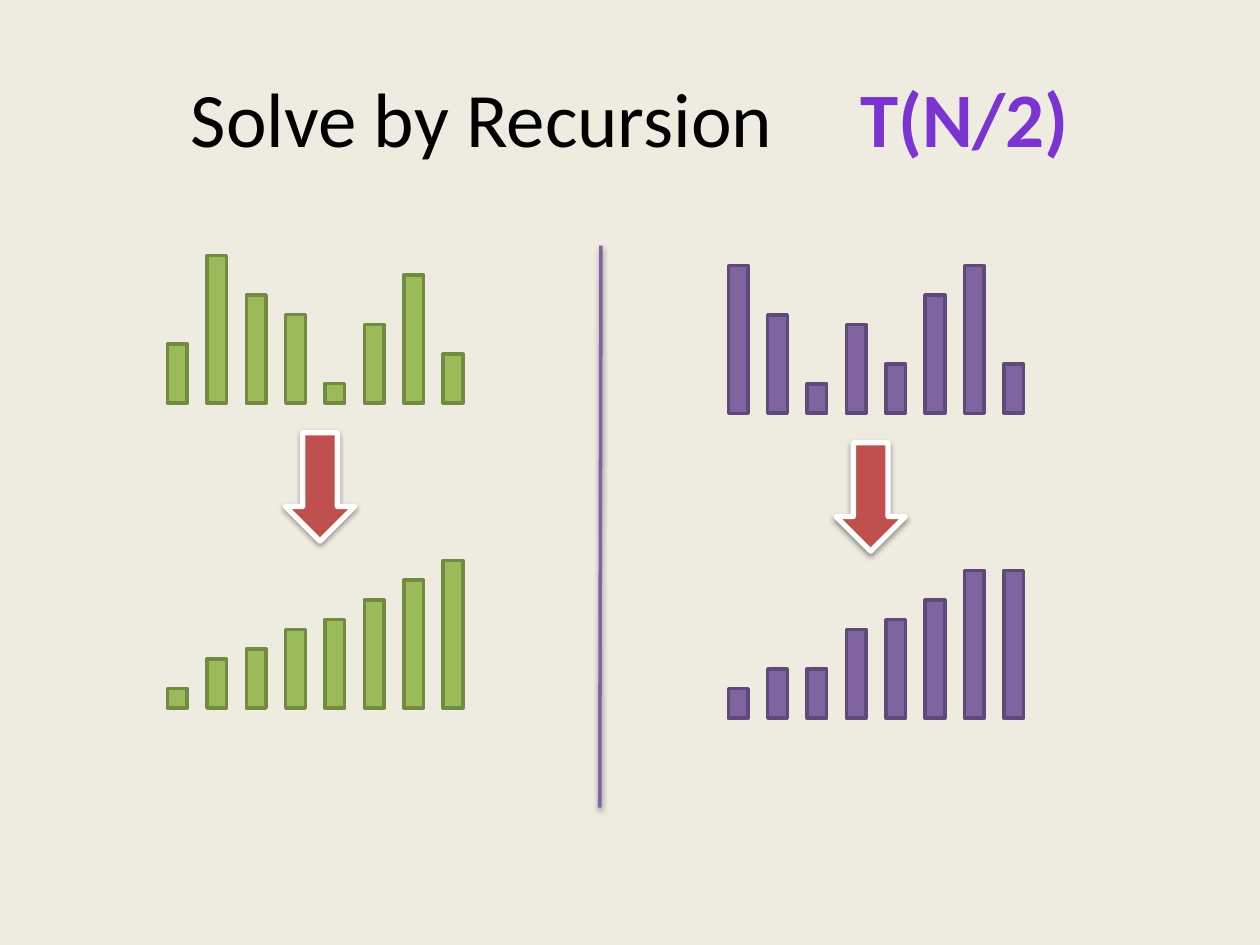
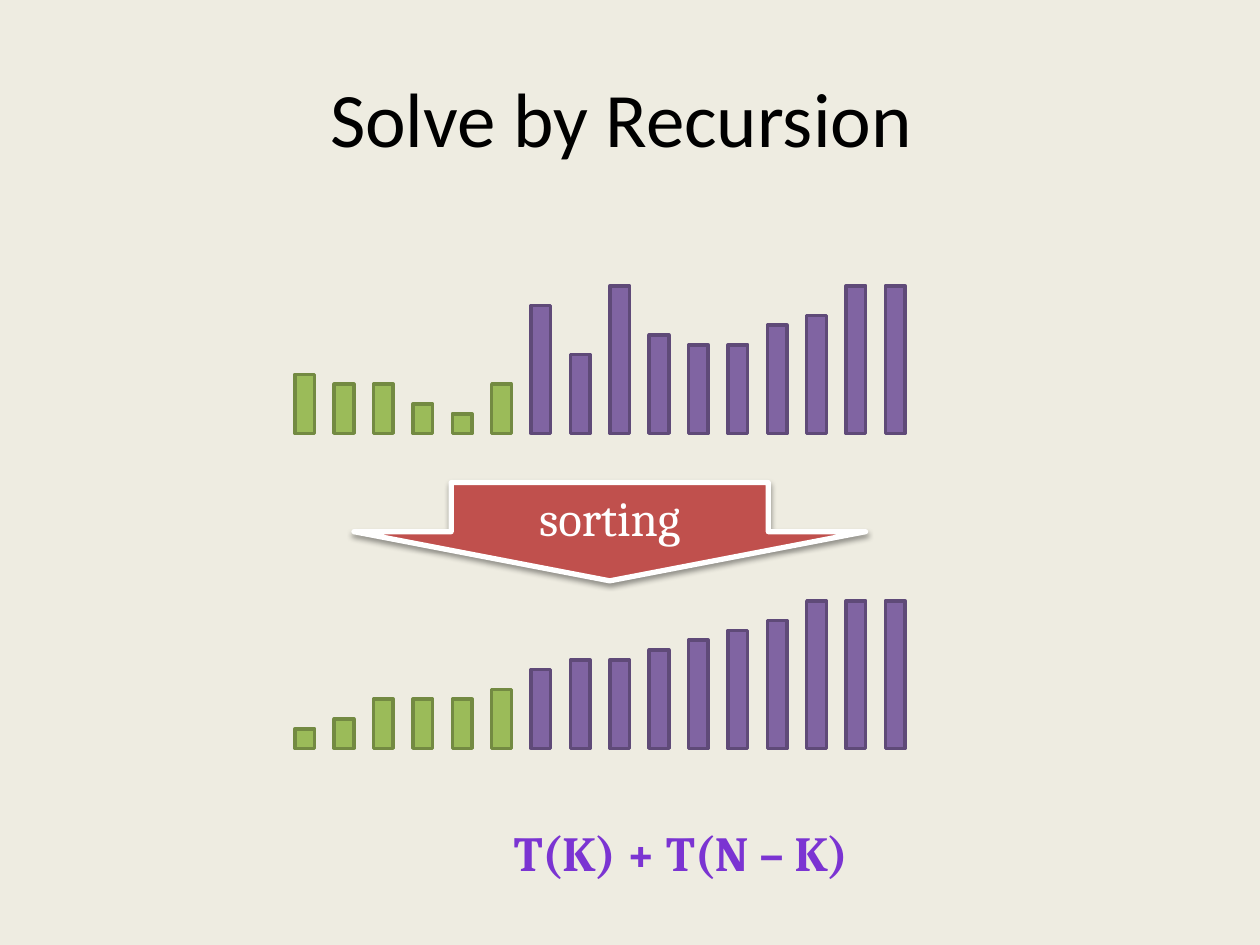
from dataclasses import dataclass

from lxml.etree import SubElement
from pptx import Presentation
from pptx.dml.color import RGBColor
from pptx.enum.shapes import MSO_CONNECTOR, MSO_SHAPE
from pptx.enum.text import MSO_ANCHOR, MSO_AUTO_SIZE, PP_ALIGN
from pptx.oxml import parse_xml
from pptx.oxml.ns import nsdecls, qn
from pptx.util import Inches, Pt

UNIT = 5 / 64
BAR_WIDTH = 2 * UNIT
BAR_PITCH = 4 * UNIT
PIVOT = 7


@dataclass(frozen=True)
class Theme:
    background: str = "EEECE1"
    ink: str = "000000"
    paper: str = "FFFFFF"
    arrow: str = "C0504D"
    divider: str = "8064A2"
    low: tuple = ("9BBB59", "738A42")
    high: tuple = ("8064A2", "5F4A78")
    cost_outline: str = "5E457C"
    cost_stops: tuple = ((0, "3D1B67"), (43, "7B34D2"), (48, "7330C4"), (100, "3D1B67"))
    title_font: str = "Calibri"
    body_font: str = "Cambria"
    title_size: int = 44
    label_size: int = 28
    line: int = 2
    arrow_line: int = 3


def rgb(value):
    return RGBColor.from_string(value)


class Deck:
    def __init__(self, theme):
        self.theme = theme
        self.show = Presentation()
        self.show.slide_width = Inches(10)
        self.show.slide_height = Inches(7.5)
        fill = self.show.slide_master.background.fill
        fill.solid()
        fill.fore_color.rgb = rgb(theme.background)
        self.slide = None

    def box(self, left, top, width, height):
        return [Inches(length) for length in (left, top, width, height)]

    def new_slide(self, heading, cost=None):
        self.slide = self.show.slides.add_slide(self.show.slide_layouts[5])
        title = self.slide.shapes.title
        title.left, title.top, title.width, title.height = self.box(0.5, 0.3, 9, 1.25)
        title.text_frame.vertical_anchor = MSO_ANCHOR.MIDDLE
        paragraph = title.text_frame.paragraphs[0]
        paragraph.alignment = PP_ALIGN.CENTER
        self.style_text(paragraph, self.theme.title_font, self.theme.title_size, self.theme.ink)
        paragraph.add_run().text = heading
        gap = paragraph.add_run()
        gap.text = " "
        if cost:
            gap.font._element.set("spc", "3980")
            self.add_cost(paragraph, cost)

    def style_text(self, paragraph, font, size, color=None):
        paragraph.font.name = font
        paragraph.font.size = Pt(size)
        if color:
            paragraph.font.color.rgb = rgb(color)

    def add_cost(self, paragraph, cost):
        run = paragraph.add_run()
        run.text = cost
        run.font.bold = True
        properties = run.font._element
        properties.append(parse_xml(
            f'<a:ln {nsdecls("a")} w="9000"><a:solidFill>'
            f'<a:srgbClr val="{self.theme.cost_outline}"/></a:solidFill></a:ln>'))
        gradient = SubElement(properties, qn("a:gradFill"))
        stops = SubElement(gradient, qn("a:gsLst"))
        for percent, color in self.theme.cost_stops:
            stop = SubElement(stops, qn("a:gs"), pos=str(percent * 1000))
            SubElement(stop, qn("a:srgbClr"), val=color)
        SubElement(gradient, qn("a:lin"), ang="5400000", scaled="0")

    def cast_shadow(self, item):
        item._element.spPr.append(parse_xml(
            f'<a:effectLst {nsdecls("a")}><a:outerShdw blurRad="40000" dist="20000" '
            'dir="5400000" rotWithShape="0"><a:srgbClr val="000000">'
            '<a:alpha val="38000"/></a:srgbClr></a:outerShdw></a:effectLst>'))

    def paint(self, item, fill, line, width):
        item.fill.solid()
        item.fill.fore_color.rgb = rgb(fill)
        item.line.color.rgb = rgb(line)
        item.line.width = Pt(width)

    def bars(self, left, base, values, colors_for):
        for index, value in enumerate(values):
            height = value * UNIT
            bar = self.slide.shapes.add_shape(MSO_SHAPE.RECTANGLE, *self.box(
                left + index * BAR_PITCH, base - height, BAR_WIDTH, height))
            self.paint(bar, *colors_for(value), self.theme.line)
            bar.shadow.inherit = False

    def arrow(self, kind, left, top, width, height):
        arrow = self.slide.shapes.add_shape(kind, *self.box(left, top, width, height))
        self.paint(arrow, self.theme.arrow, self.theme.paper, self.theme.arrow_line)
        self.cast_shadow(arrow)
        return arrow

    def sorting_arrow(self, label):
        arrow = self.arrow(MSO_SHAPE.DOWN_ARROW, 2.81, 3.83, 4.06, 0.78)
        arrow.adjustments[0] = 0.62
        arrow.text_frame.vertical_anchor = MSO_ANCHOR.MIDDLE
        paragraph = arrow.text_frame.paragraphs[0]
        paragraph.alignment = PP_ALIGN.CENTER
        self.style_text(paragraph, self.theme.body_font, self.theme.label_size, self.theme.paper)
        paragraph.add_run().text = label

    def divider(self, start, end):
        divider = self.slide.shapes.add_connector(
            MSO_CONNECTOR.STRAIGHT, *[Inches(length) for length in (*start, *end)])
        divider.line.color.rgb = rgb(self.theme.divider)
        divider.line.width = Pt(self.theme.line)
        self.cast_shadow(divider)

    def cost_note(self, cost, left, top, width, height):
        frame = self.slide.shapes.add_textbox(*self.box(left, top, width, height)).text_frame
        frame.word_wrap = True
        frame.auto_size = MSO_AUTO_SIZE.SHAPE_TO_FIT_TEXT
        paragraph = frame.paragraphs[0]
        self.style_text(paragraph, self.theme.body_font, self.theme.label_size)
        self.add_cost(paragraph, cost)


def build_halves(deck):
    deck.new_slide("Solve by Recursion", "T(N/2)")
    halves = (
        (1.33, 3.2, 2.11, 3.59, deck.theme.low, [6, 15, 11, 9, 2, 8, 13, 5]),
        (5.78, 3.28, 6.48, 3.67, deck.theme.high, [15, 10, 3, 9, 5, 12, 15, 5]),
    )
    for left, base, arrow_left, arrow_top, colors, values in halves:
        deck.bars(left, base, values, lambda value: colors)
        deck.bars(left, base + 2.42, sorted(values), lambda value: colors)
        deck.arrow(MSO_SHAPE.RIGHT_ARROW, arrow_left, arrow_top, 0.86, 0.55).rotation = 90
    deck.divider((4.77, 1.95), (4.76, 6.41))


def build_partition(deck):
    deck.new_slide("Solve by Recursion")
    values = [6, 5, 5, 3, 2, 5, 13, 8, 15, 10, 9, 9, 11, 12, 15, 15]

    def side_of_pivot(value):
        return deck.theme.low if value < PIVOT else deck.theme.high

    deck.sorting_arrow("sorting")
    deck.bars(2.34, 3.44, values, side_of_pivot)
    deck.bars(2.34, 5.94, sorted(values), side_of_pivot)
    deck.cost_note("T(K) + T(N – K)", 3.98, 6.48, 3.44, 0.57)


def main():
    deck = Deck(Theme())
    build_halves(deck)
    build_partition(deck)
    deck.show.save("out.pptx")


if __name__ == "__main__":
    main()
